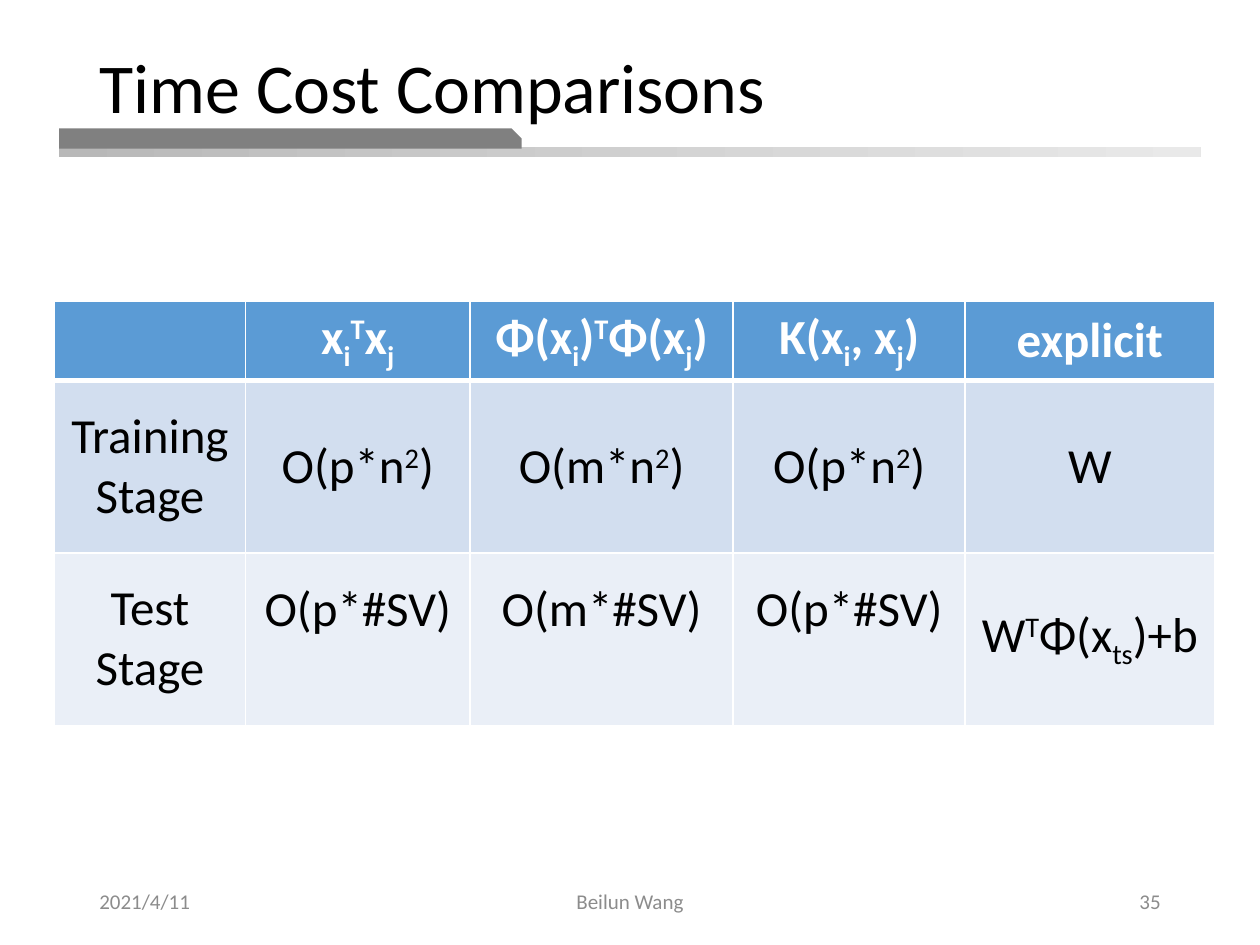
from lxml import etree
from pptx import Presentation
from pptx import util as u
from pptx.dml.color import RGBColor
from pptx.enum import shapes, text
from pptx.oxml.ns import qn

COLS = [1.52, 1.78, 2.09, 1.84, 1.98]
ROWS = [0.6, 1.37, 1.37]
FILLS = ["5B9BD5", "D2DEEF", "EAEFF7"]
# "|" parts the runs; a run led by "_" is subscript, by "^" superscript
CELLS = [
    ["", "x|_i|^T|x|_j", "Φ(x|_i|)|^T|Φ(x|_j|)", "K(x|_i|, x|_j|)", "explicit"],
    ["Training Stage", "O(p*n|^2|)", "O(m*n|^2|)", "O(p*n|^2|)", "W"],
    ["Test Stage", "O(p*#SV)", "O(m*#SV)", "O(p*#SV)", "W|^T|Φ(x|_ts|)+b"],
]
SHIFTS = {"_": "-25000", "^": "30000"}
ALIGN = text.PP_ALIGN
MIDDLE = text.MSO_ANCHOR.MIDDLE


def rgb(code):
    return RGBColor.from_string(code)


def box(left, top, width, height):
    return [u.Inches(n) for n in (left, top, width, height)]


def style(run, size, color, bold=False):
    font = run.font
    font.name, font.size, font.bold = "Calibri", u.Pt(size), bold
    font.color.rgb = rgb(color)


def add_bar(slide, kind, place):
    bar = slide.shapes.add_shape(kind, *box(*place))
    bar.shadow.inherit = False
    bar.line.fill.background()
    return bar


def add_bars(slide):
    kinds = shapes.MSO_SHAPE
    fill = add_bar(slide, kinds.RECTANGLE, (0.47, 1.17, 9.06, 0.08)).fill
    fill.gradient()
    fill.gradient_angle = 0
    for stop, code in zip(fill.gradient_stops, ("B8B8B8", "E9E9E9")):
        stop.color.rgb = rgb(code)
    tab = add_bar(slide, kinds.SNIP_1_RECTANGLE, (0.47, 1.02, 3.67, 0.16))
    tab.adjustments[0] = 0.5
    tab.fill.solid()
    tab.fill.fore_color.rgb = rgb("808080")


def set_title(slide, words):
    title = slide.shapes.title
    title.left, title.top, title.width, title.height = box(0.69, 0.4, 8.38, 0.64)
    frame = title.text_frame
    frame.text = words
    frame.auto_size = text.MSO_AUTO_SIZE.NONE
    frame.vertical_anchor = MIDDLE
    para = frame.paragraphs[0]
    para.alignment, para.line_spacing = ALIGN.LEFT, 0.9
    style(para.runs[0], 40, "000000")
    slide.shapes._spTree.append(title._element)  # in front of the bars


def set_borders(cell, row):
    props = cell._tc.get_or_add_tcPr()
    thick = {0: "lnB", 1: "lnT"}.get(row)
    for side in ("lnL", "lnR", "lnT", "lnB"):
        width = u.Pt(3 if side == thick else 1)
        line = etree.SubElement(props, qn("a:" + side), w=str(int(width)))
        fill = etree.SubElement(line, qn("a:solidFill"))
        etree.SubElement(fill, qn("a:srgbClr"), val="FFFFFF")


def write_cell(cell, words, head):
    para = cell.text_frame.paragraphs[0]
    para.alignment = ALIGN.CENTER
    cell.vertical_anchor = MIDDLE
    for part in filter(None, words.split("|")):
        run = para.add_run()
        run.text = part.lstrip("_^")
        style(run, 28, "FFFFFF" if head else "000000", head)
        if part[0] in SHIFTS:
            run.font._element.set("baseline", SHIFTS[part[0]])


def add_costs(slide):
    place = box(0.43, 2.39, sum(COLS), sum(ROWS))
    table = slide.shapes.add_table(len(ROWS), len(COLS), *place).table
    for col, width in zip(table.columns, COLS):
        col.width = u.Inches(width)
    for r, height in enumerate(ROWS):
        table.rows[r].height = u.Inches(height)
        for c, words in enumerate(CELLS[r]):
            cell = table.cell(r, c)
            set_borders(cell, r)
            cell.fill.solid()
            cell.fill.fore_color.rgb = rgb(FILLS[r])
            write_cell(cell, words, r == 0)
            if "#SV" in words:  # level with the first line of the row label
                cell.margin_bottom = u.Inches(0.52)


def add_note(slide, left, width, words, align):
    frame = slide.shapes.add_textbox(*box(left, 6.95, width, 0.4)).text_frame
    frame.word_wrap = True
    frame.vertical_anchor = MIDDLE
    frame.text = words
    para = frame.paragraphs[0]
    para.alignment = align
    style(para.runs[0], 12, "8C8C8C")


def main():
    deck = Presentation()
    deck.slide_width, deck.slide_height = u.Inches(10), u.Inches(7.5)
    slide = deck.slides.add_slide(deck.slide_layouts[5])
    add_bars(slide)
    set_title(slide, "Time Cost Comparisons")
    add_costs(slide)
    add_note(slide, 0.69, 2.25, "2021/4/11", ALIGN.LEFT)
    add_note(slide, 3.31, 3.38, "Beilun Wang", ALIGN.CENTER)
    add_note(slide, 7.06, 2.25, "35", ALIGN.RIGHT)
    deck.save("out.pptx")


if __name__ == "__main__":
    main()
